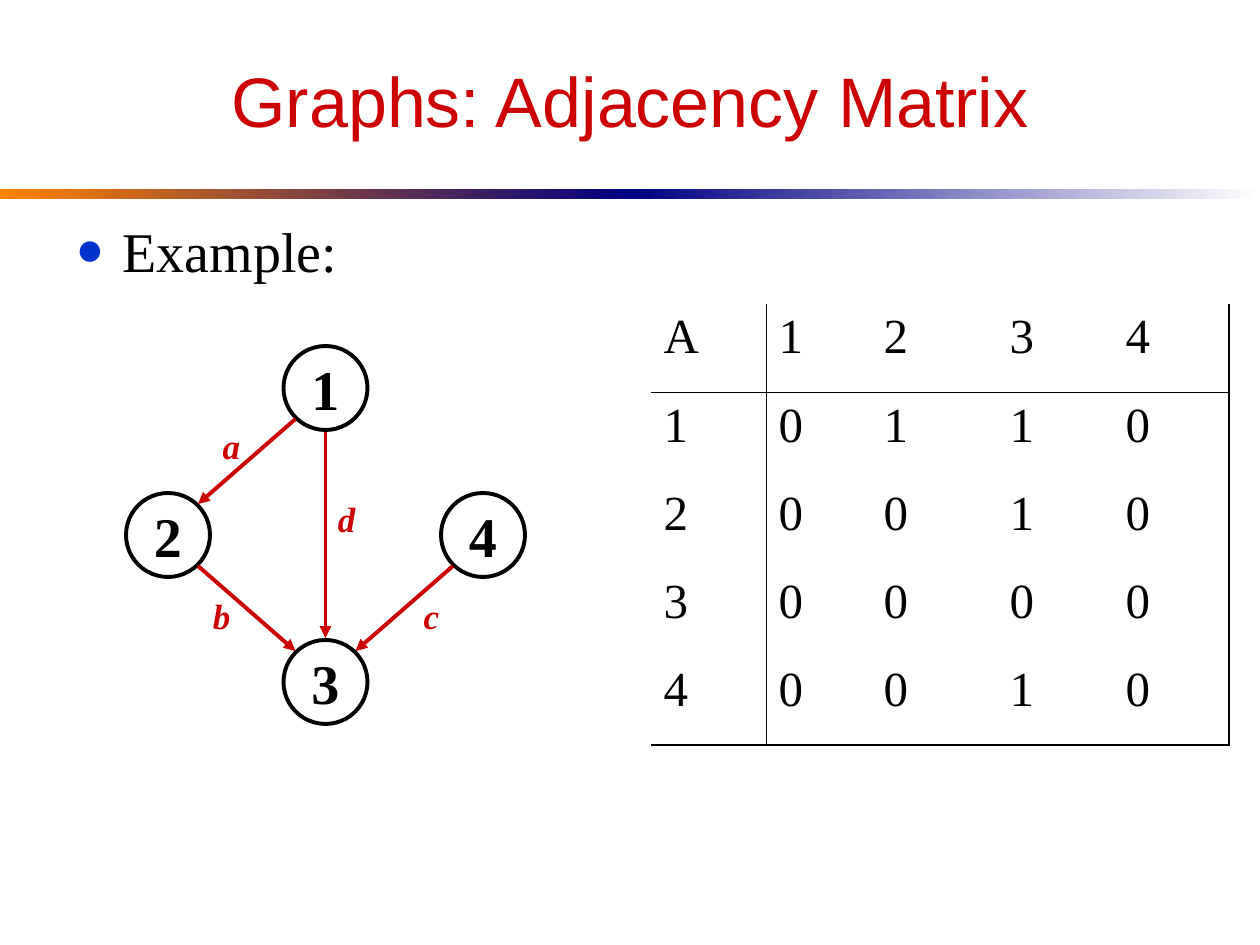
from lxml import etree
from pptx import Presentation
from pptx.dml.color import RGBColor
from pptx.enum.shapes import MSO_CONNECTOR, MSO_SHAPE
from pptx.enum.text import MSO_ANCHOR, MSO_AUTO_SIZE, PP_ALIGN
from pptx.oxml.ns import qn
from pptx.util import Pt

SCALE = 914400 / 126
LEFT, CENTER = PP_ALIGN.LEFT, PP_ALIGN.CENTER
TOP, MIDDLE = MSO_ANCHOR.TOP, MSO_ANCHOR.MIDDLE
NO_AUTOSIZE = MSO_AUTO_SIZE.NONE
ELLIPSE, RECTANGLE = MSO_SHAPE.OVAL, MSO_SHAPE.RECTANGLE
STRAIGHT = MSO_CONNECTOR.STRAIGHT
SERIF, SANS = "Times New Roman", "Arial"
BLACK, RED, BLUE = "000000", "CC0000", "0033CC"
NAVY, ORANGE, WHITE = "000082", "FF8200", "FFFFFF"


def emu(*pixels):
    """Turn pixel lengths into a list of EMU."""
    return [round(pixel * SCALE) for pixel in pixels]


def color(hex_string):
    """Return the colour of a hex string."""
    return RGBColor.from_string(hex_string)


def write(frame, text, size=32, font=SERIF, fill=BLACK, bold=False, italic=False,
          align=LEFT, before=0):
    """Write one formatted paragraph into a text frame and return it."""
    paragraph = frame.paragraphs[0]
    paragraph.alignment = align
    paragraph.space_before = Pt(before)
    run = paragraph.add_run()
    run.text = text
    run.font.size, run.font.name = Pt(size), font
    run.font.bold, run.font.italic = bold, italic
    run.font.color.rgb = color(fill)
    return paragraph


def place(shape, box):
    """Move a placeholder to a pixel box and return its text frame."""
    shape.left, shape.top, shape.width, shape.height = emu(*box)
    frame = shape.text_frame
    frame.auto_size = NO_AUTOSIZE
    return frame


def add_title(slide, box, text):
    """Fill the title placeholder."""
    frame = place(slide.shapes.title, box)
    frame.vertical_anchor = MIDDLE
    write(frame, text, size=40, font=SANS, fill=RED, align=CENTER)


def add_body(slide, box, text):
    """Fill the body placeholder with one bulleted line."""
    frame = place(slide.placeholders[1], box)
    frame.vertical_anchor = TOP
    paragraph = write(frame, text, before=8)
    properties = paragraph._p.get_or_add_pPr()
    indent = emu(47)[0]
    properties.set("marL", str(indent))
    properties.set("indent", str(-indent))
    bullet_color = etree.SubElement(properties, qn("a:buClr"))
    etree.SubElement(bullet_color, qn("a:srgbClr"), val=BLUE)
    etree.SubElement(properties, qn("a:buSzPct"), val="85000")
    etree.SubElement(properties, qn("a:buFont"), typeface=SERIF)
    etree.SubElement(properties, qn("a:buChar"), char="●")


def add_rule(slide, box):
    """Draw the gradient rule as two equal halves."""
    left, top, width, height = box
    half = width // 2
    for index, ends in enumerate([(ORANGE, NAVY), (NAVY, WHITE)]):
        bar = slide.shapes.add_shape(
            RECTANGLE, *emu(left + index * half, top, half, height))
        bar.shadow.inherit = False
        bar.line.fill.background()
        bar.fill.gradient()
        bar.fill.gradient_angle = 0
        for stop, end in zip(bar.fill.gradient_stops, ends):
            stop.color.rgb = color(end)


def add_node(slide, left, top, size, text):
    """Draw one numbered circle."""
    node = slide.shapes.add_shape(ELLIPSE, *emu(left, top, size, size))
    node.shadow.inherit = False
    node.fill.background()
    node.line.color.rgb, node.line.width = color(BLACK), Pt(2.25)
    frame = node.text_frame
    frame.word_wrap, frame.vertical_anchor = False, MIDDLE
    write(frame, text, bold=True, align=CENTER)


def add_arrow(slide, start, end):
    """Draw a red arrow between two pixel points."""
    arrow = slide.shapes.add_connector(STRAIGHT, *emu(*start, *end))
    arrow.line.color.rgb, arrow.line.width = color(RED), Pt(2.25)
    etree.SubElement(arrow.line._get_or_add_ln(), qn("a:tailEnd"), type="triangle")
    etree.SubElement(arrow._element.spPr, qn("a:effectLst"))


def add_label(slide, left, top, text):
    """Write the name of an edge."""
    label = slide.shapes.add_textbox(*emu(left, top, 43, 55))
    label.text_frame.word_wrap = False
    write(label.text_frame, text, size=20, fill=RED, bold=True, italic=True, align=CENTER)


def add_graph(slide, box):
    """Draw the directed graph with its nodes, edges and edge names."""
    left, top, width, height = box
    size = 84
    columns = [left, left + (width - size) / 2, left + width - size]
    rows = [top, top + (height - size) / 2, top + height - size]
    nodes = {"1": (columns[1], rows[0]), "2": (columns[0], rows[1]),
             "4": (columns[2], rows[1]), "3": (columns[1], rows[2])}
    edges = [("1", "2", "a", 84, 72), ("2", "3", "b", 74, 242),
             ("4", "3", "c", 284, 242), ("1", "3", "d", 199, 145)]
    for name, (x, y) in nodes.items():
        add_node(slide, x, y, size, name)
    for source, target, name, label_x, label_y in edges:
        (x1, y1), (x2, y2) = [(x + size / 2, y + size / 2)
                              for x, y in (nodes[source], nodes[target])]
        side = (x2 > x1) - (x2 < x1)
        across, down = (30 * side, 31) if side else (0, 44)
        add_arrow(slide, (x1 + across, y1 + down), (x2 - across, y2 - down))
        add_label(slide, left + label_x, top + label_y, name)


def set_borders(cell, widths):
    """Set the cell borders in points, where zero means none."""
    properties = cell._tc.get_or_add_tcPr()
    for side in "LRTB":
        width = widths.get(side, 0)
        line = etree.SubElement(properties, qn("a:ln" + side), w=str(Pt(width)))
        if width:
            fill = etree.SubElement(line, qn("a:solidFill"))
            etree.SubElement(fill, qn("a:srgbClr"), val=BLACK)
        else:
            etree.SubElement(line, qn("a:noFill"))


def add_matrix(slide, box, column_widths, rows):
    """Build the adjacency matrix with ruled header row and column."""
    table = slide.shapes.add_table(len(rows), len(column_widths), *emu(*box)).table
    table.first_row = table.horz_banding = False
    for column, width in zip(table.columns, emu(*column_widths)):
        column.width = width
    last_row, last_column = len(rows) - 1, len(column_widths) - 1
    thin, thick = 0.45, 1.08
    for row_index, values in enumerate(rows):
        for column_index, value in enumerate(values):
            cell = table.cell(row_index, column_index)
            set_borders(cell, {
                "L": thin if column_index == 1 else 0,
                "R": {0: thin, last_column: thick}.get(column_index, 0),
                "T": thin if row_index == 1 else 0,
                "B": {0: thin, last_row: thick}.get(row_index, 0)})
            cell.fill.background()
            write(cell.text_frame, value, size=28, before=7)


def build():
    """Build and save the presentation."""
    presentation = Presentation()
    presentation.slide_width, presentation.slide_height = emu(1260, 945)
    slide = presentation.slides.add_slide(presentation.slide_layouts[1])
    add_rule(slide, (0, 189, 1260, 10))
    add_title(slide, (63, 32, 1134, 136), "Graphs: Adjacency Matrix")
    add_body(slide, (63, 210, 1134, 599), "Example:")
    add_graph(slide, (126, 346, 399, 378))
    add_matrix(slide, (651, 304, 578, 441), (115, 105, 126, 116, 116),
               ["A1234", "10110", "20010", "30000", "40010"])
    presentation.save("out.pptx")


build()
